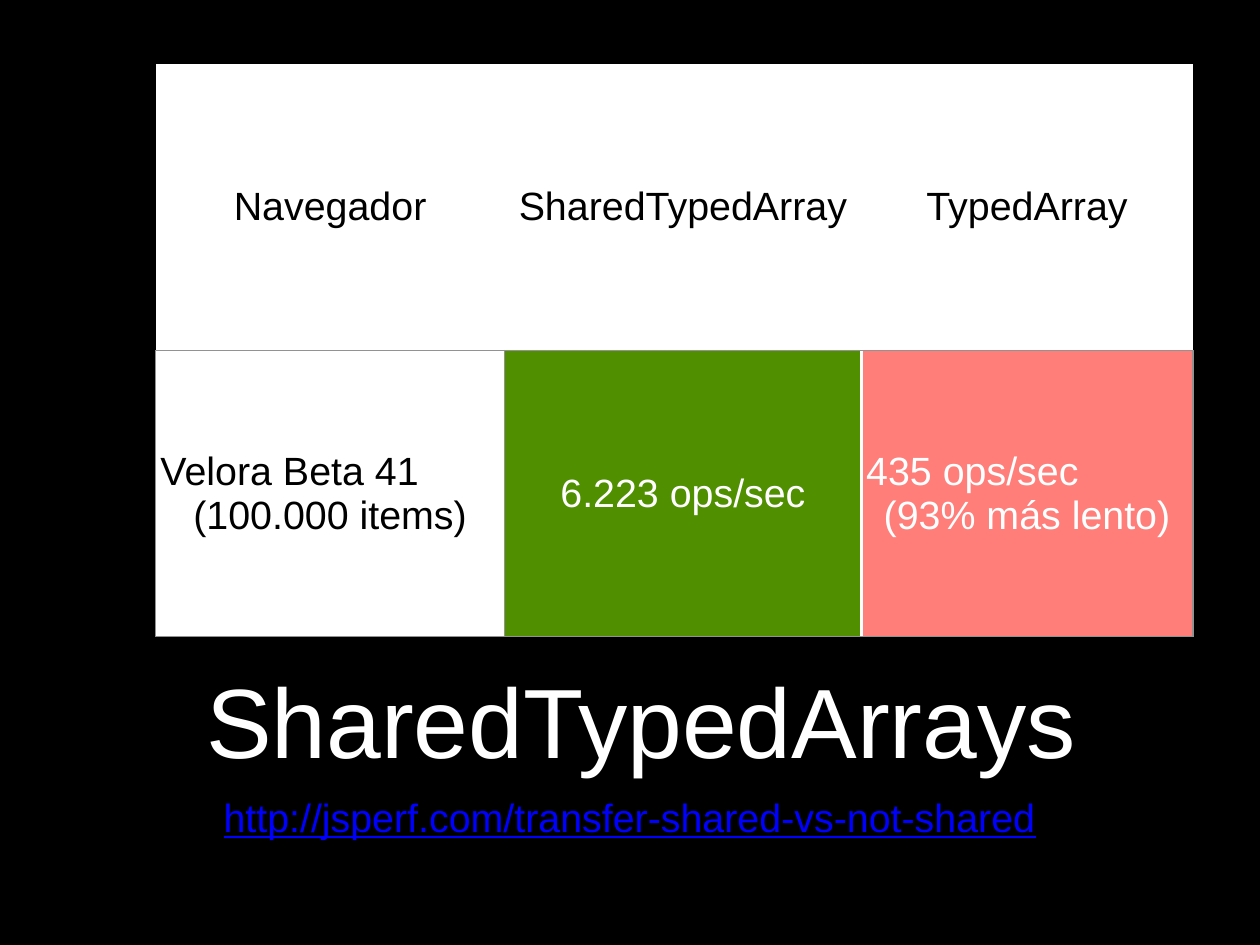
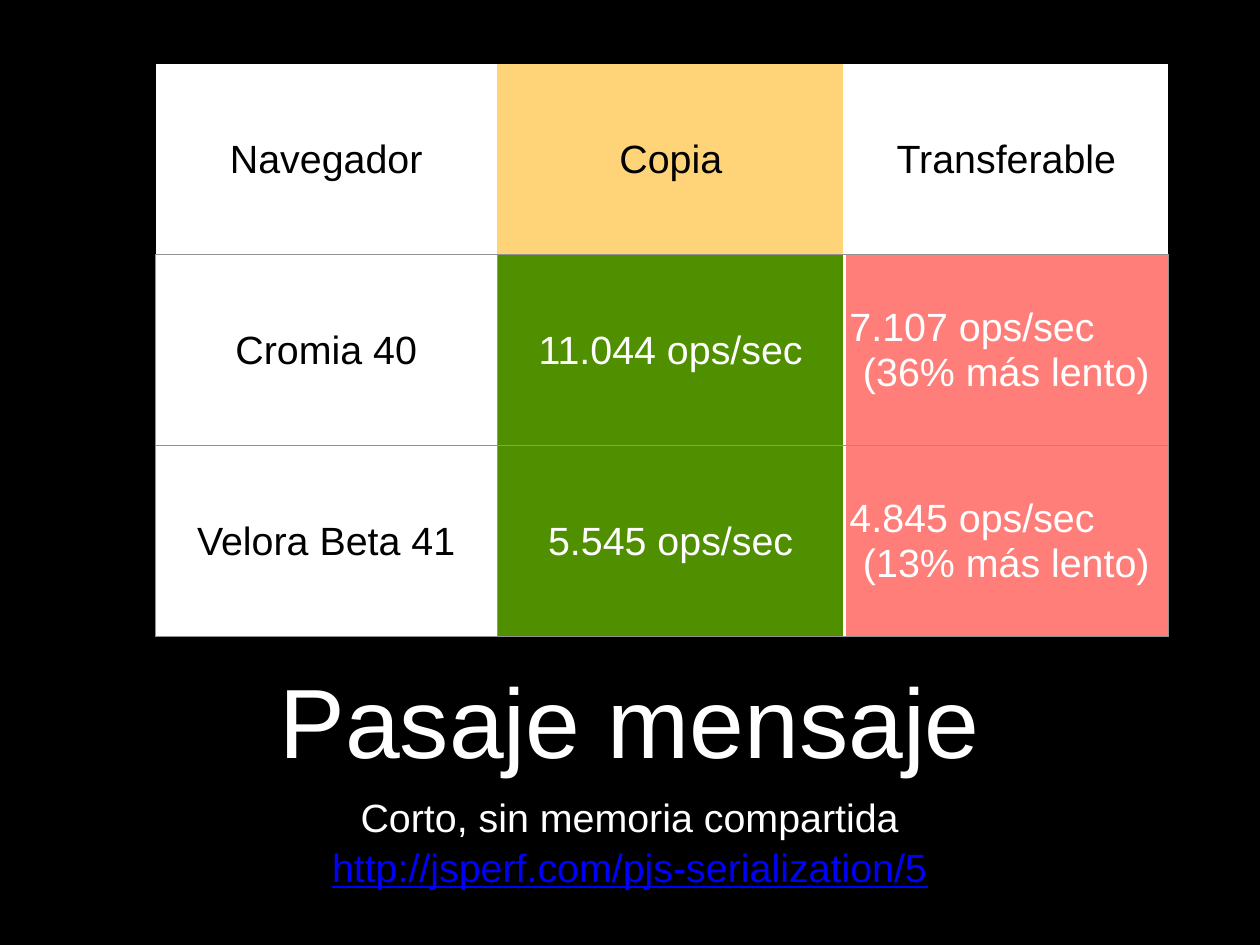
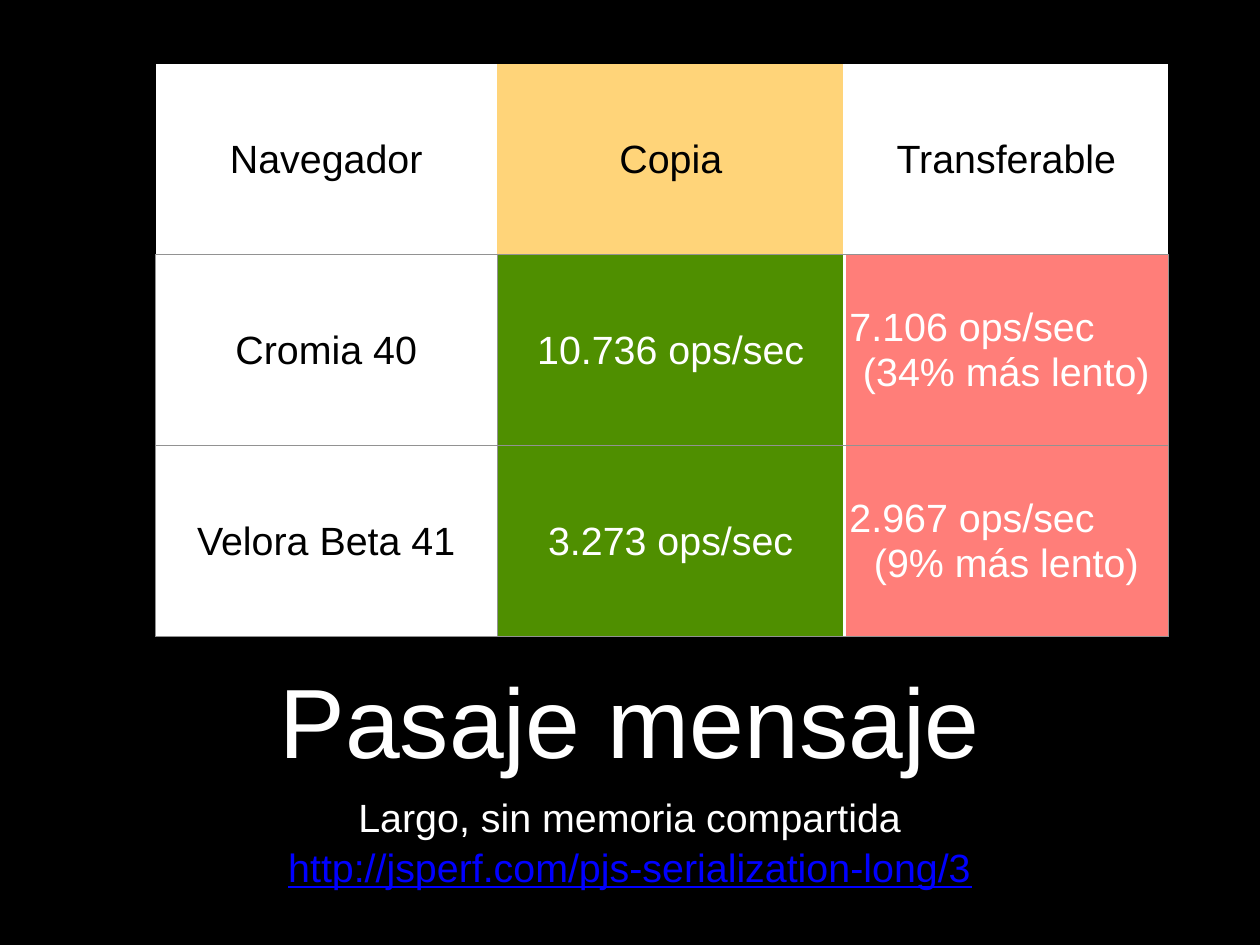
from dataclasses import dataclass

from lxml import etree
from pptx import Presentation
from pptx import util as u
from pptx.dml.color import RGBColor
from pptx.enum import text
from pptx.oxml import ns

PX = 10160  # EMU per px, 90 px to the inch


@dataclass(frozen=True)
class Theme:
    font: str = "Arial"
    title_pt: int = 80
    body_pt: int = 32
    black: str = "000000"
    white: str = "FFFFFF"
    link: str = "0000FF"
    grid: str = "929292"
    best: str = "4F8F00"
    slower: str = "FF7E79"
    marked: str = "FFD479"


THEME = Theme()

SLIDE = (1280, 960)
TITLE_BOX = (125, 661, 1030, 140)
CAPTION_BOX = (125, 806, 1030, 112)
TABLE_LEFT, TABLE_TOP, TABLE_HEIGHT = 158, 65, 582
CELL_INSET = 5
CAPTION_GAP_PT = 2

MESSAGE_COLUMNS = (347, 353, 329)
MESSAGE_HEADER = ("Navegador", "Copia", "Transferable")

SLIDES = [
    {
        "title": "SharedTypedArrays",
        "title_indent": 23,
        "caption": None,
        "address": "http://jsperf.com/transfer-shared-vs-not-shared",
        "columns": (355, 362, 337),
        "marked_column": None,
        "rows": [
            ("Navegador", "SharedTypedArray", "TypedArray"),
            ("Velora Beta 41\n(100.000 items)", "6.223 ops/sec", "435 ops/sec\n(93% más lento)"),
        ],
    },
    {
        "title": "Pasaje mensaje",
        "title_indent": 0,
        "caption": "Corto, sin memoria compartida",
        "address": "http://jsperf.com/pjs-serialization/5",
        "columns": MESSAGE_COLUMNS,
        "marked_column": 1,
        "rows": [
            MESSAGE_HEADER,
            ("Cromia 40", "11.044 ops/sec", "7.107 ops/sec\n(36% más lento)"),
            ("Velora Beta 41", "5.545 ops/sec", "4.845 ops/sec\n(13% más lento)"),
        ],
    },
    {
        "title": "Pasaje mensaje",
        "title_indent": 0,
        "caption": "Largo, sin memoria compartida",
        "address": "http://jsperf.com/pjs-serialization-long/3",
        "columns": MESSAGE_COLUMNS,
        "marked_column": 1,
        "rows": [
            MESSAGE_HEADER,
            ("Cromia 40", "10.736 ops/sec", "7.106 ops/sec\n(34% más lento)"),
            ("Velora Beta 41", "3.273 ops/sec", "2.967 ops/sec\n(9% más lento)"),
        ],
    },
]

# Fill and text colour of each column below the header
BODY_STYLES = (
    (THEME.white, THEME.black),
    (THEME.best, THEME.white),
    (THEME.slower, THEME.white),
)
NO_STYLE_NO_GRID = "{2D5ABB26-0587-4C30-8999-92F81FD0307C}"


def emu(*lengths):
    return [length * PX for length in lengths]


def add_run(paragraph, words, size, color, underline=None):
    run = paragraph.add_run()
    run.text = words
    run.font.name = THEME.font
    run.font.size = u.Pt(size)
    run.font.color.rgb = RGBColor.from_string(color)
    run.font.underline = underline


def prepare_frame(frame, anchor):
    frame.word_wrap = True
    frame.auto_size = text.MSO_AUTO_SIZE.NONE
    frame.vertical_anchor = anchor
    frame.margin_left = frame.margin_top = frame.margin_right = frame.margin_bottom = 0


def add_title(slide, words, indent):
    title = slide.shapes.title
    title.left, title.top, title.width, title.height = emu(*TITLE_BOX)
    prepare_frame(title.text_frame, text.MSO_ANCHOR.MIDDLE)
    paragraph = title.text_frame.paragraphs[0]
    paragraph.alignment = text.PP_ALIGN.CENTER
    if indent:
        paragraph._p.get_or_add_pPr().set("indent", str(indent * PX))
    add_run(paragraph, words, THEME.title_pt, THEME.white)


def add_caption(slide, caption, address):
    frame = slide.shapes.add_textbox(*emu(*CAPTION_BOX)).text_frame
    prepare_frame(frame, text.MSO_ANCHOR.TOP)
    lines = [(caption, THEME.white, None)] if caption else []
    lines.append((address, THEME.link, True))
    for number, (words, color, underline) in enumerate(lines):
        paragraph = frame.add_paragraph() if number else frame.paragraphs[0]
        paragraph.alignment = text.PP_ALIGN.CENTER
        if number:
            paragraph.space_before = u.Pt(CAPTION_GAP_PT)
        add_run(paragraph, words, THEME.body_pt, color, underline)


def cell_borders(row, column, row_count):
    """Return {side: (colour, points)}; both cells at a shared edge agree."""
    thin, divider = (THEME.grid, 1), (THEME.white, 3)
    upright = (None, None, divider, None) if row == 0 else (thin, thin, divider, thin)
    level = (None,) + (thin,) * row_count
    return {
        "L": upright[column],
        "R": upright[column + 1],
        "T": level[row],
        "B": level[row + 1],
    }


def draw_borders(cell, borders):
    properties = cell._tc.get_or_add_tcPr()
    edges = [(side, border) for side, border in borders.items() if border]
    for position, (side, (color, points)) in enumerate(edges):
        line = etree.Element(ns.qn(f"a:ln{side}"), w=str(u.Pt(points)))
        fill = etree.SubElement(line, ns.qn("a:solidFill"))
        etree.SubElement(fill, ns.qn("a:srgbClr"), val=color)
        properties.insert(position, line)


def fill_cell(cell, words, fill, color):
    """Centre the last line; a line before it starts at the left edge."""
    cell.fill.solid()
    cell.fill.fore_color.rgb = RGBColor.from_string(fill)
    cell.vertical_anchor = text.MSO_ANCHOR.MIDDLE
    cell.margin_left = cell.margin_top = cell.margin_right = cell.margin_bottom = CELL_INSET * PX
    lines = words.split("\n")
    for number, line in enumerate(lines):
        paragraph = cell.text_frame.add_paragraph() if number else cell.text_frame.paragraphs[0]
        is_last = number == len(lines) - 1
        paragraph.alignment = text.PP_ALIGN.CENTER if is_last else text.PP_ALIGN.LEFT
        add_run(paragraph, line, THEME.body_pt, color)


def add_results(slide, rows, columns, marked_column):
    box = emu(TABLE_LEFT, TABLE_TOP, sum(columns), TABLE_HEIGHT)
    results = slide.shapes.add_table(len(rows), len(columns), *box).table
    results.first_row = results.horz_banding = False
    results._tbl.tblPr.find(ns.qn("a:tableStyleId")).text = NO_STYLE_NO_GRID
    for column, width in zip(results.columns, emu(*columns)):
        column.width = width
    for r, values in enumerate(rows):
        results.rows[r].height = TABLE_HEIGHT * PX // len(rows)
        for c, words in enumerate(values):
            if r:
                fill, color = BODY_STYLES[c]
            else:
                fill = THEME.marked if c == marked_column else THEME.white
                color = THEME.black
            cell = results.cell(r, c)
            fill_cell(cell, words, fill, color)
            draw_borders(cell, cell_borders(r, c, len(rows)))


def main():
    prs = Presentation()
    prs.slide_width, prs.slide_height = emu(*SLIDE)
    backdrop = prs.slide_master.background.fill
    backdrop.solid()
    backdrop.fore_color.rgb = RGBColor.from_string(THEME.black)
    title_only = prs.slide_layouts.get_by_name("Title Only")
    for content in SLIDES:
        slide = prs.slides.add_slide(title_only)
        add_title(slide, content["title"], content["title_indent"])
        add_caption(slide, content["caption"], content["address"])
        add_results(slide, content["rows"], content["columns"], content["marked_column"])
    prs.save("out.pptx")


if __name__ == "__main__":
    main()
